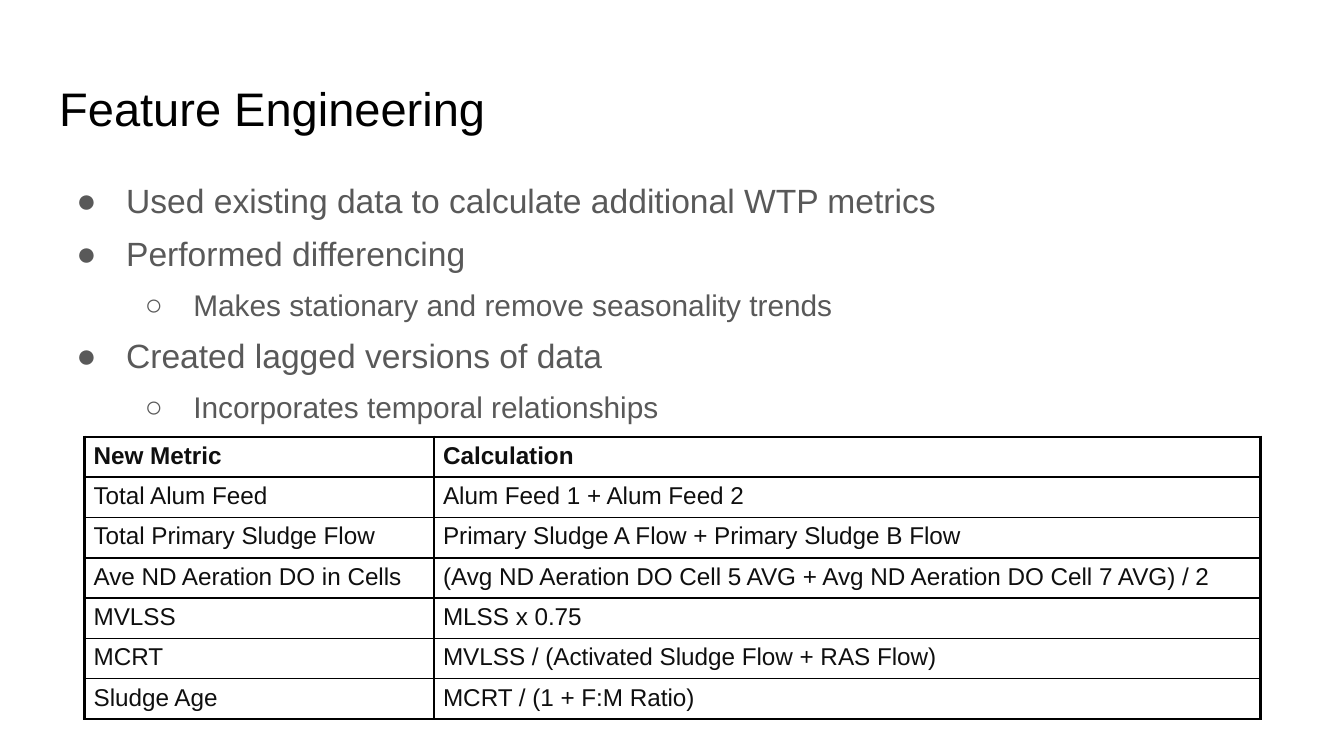
from lxml import etree
from pptx import Presentation
from pptx.dml.color import RGBColor
from pptx.enum.text import MSO_ANCHOR, PP_ALIGN
from pptx.oxml.ns import qn
from pptx.util import Inches, Pt

LEFT, TOP = PP_ALIGN.LEFT, MSO_ANCHOR.TOP
BLACK = RGBColor(0x00, 0x00, 0x00)
GRAY = RGBColor(0x59, 0x59, 0x59)
INK = RGBColor(0x0F, 0x0F, 0x0F)
TITLE_ONLY = 5
THIN, THICK = 1, 1.5

# One entry per outline level: bullet, text size, left margin, hanging indent
LEVELS = [("●", 18, 0.5, -0.37), ("○", 16, 1, -0.36)]

BULLETS = [
    (0, "Used existing data to calculate additional WTP metrics"),
    (0, "Performed differencing"),
    (1, "Makes stationary and remove seasonality trends"),
    (0, "Created lagged versions of data"),
    (1, "Incorporates temporal relationships"),
]

METRICS = [
    ("New Metric", "Calculation"),
    ("Total Alum Feed", "Alum Feed 1 + Alum Feed 2"),
    ("Total Primary Sludge Flow", "Primary Sludge A Flow + Primary Sludge B Flow"),
    ("Ave ND Aeration DO in Cells",
     "(Avg ND Aeration DO Cell 5 AVG + Avg ND Aeration DO Cell 7 AVG) / 2"),
    ("MVLSS", "MLSS x 0.75"),
    ("MCRT", "MVLSS / (Activated Sludge Flow + RAS Flow)"),
    ("Sludge Age", "MCRT / (1 + F:M Ratio)"),
]


def assign(target, values):
    for name, value in values.items():
        setattr(target, name, value)


def add_border(cell, side, width):
    line = etree.SubElement(cell._tc.get_or_add_tcPr(), qn(f"a:ln{side}"), w=str(Pt(width)))
    fill = etree.SubElement(line, qn("a:solidFill"))
    etree.SubElement(fill, qn("a:srgbClr"), val=str(BLACK))


def add_bullet(para, symbol, margin, indent):
    properties = para._p.get_or_add_pPr()
    properties.set("marL", str(Inches(margin)))
    properties.set("indent", str(Inches(indent)))
    color = etree.SubElement(properties, qn("a:buClr"))
    etree.SubElement(color, qn("a:srgbClr"), val=str(GRAY))
    etree.SubElement(properties, qn("a:buFont"), typeface="Arial")
    etree.SubElement(properties, qn("a:buChar"), char=symbol)


class SlideBuilder:
    """Places elements by percentages of the slide's width and height."""

    font = "Arial"

    def __init__(self, deck):
        self.deck = deck
        self.slide = deck.slides.add_slide(deck.slide_layouts[TITLE_ONLY])

    def across(self, percent):
        return round(self.deck.slide_width * percent / 100)

    def down(self, percent):
        return round(self.deck.slide_height * percent / 100)

    def area(self, left, top, width, height):
        return self.across(left), self.down(top), self.across(width), self.down(height)

    def style(self, para, size, color, bold=False):
        para.alignment = LEFT
        assign(para.font, {"name": self.font, "size": Pt(size), "bold": bold})
        para.font.color.rgb = color

    def frame(self, box):
        sides = ("left", "top", "right", "bottom")
        assign(box.text_frame, {f"margin_{side}": Inches(0.1) for side in sides})
        assign(box.text_frame, {"word_wrap": True, "vertical_anchor": TOP})
        return box.text_frame

    def title(self, text, *place):
        box = self.slide.shapes.title
        assign(box, dict(zip(("left", "top", "width", "height"), self.area(*place))))
        frame = self.frame(box)
        frame.text = text
        self.style(frame.paragraphs[0], 25.2, BLACK)

    def outline(self, items, *place):
        frame = self.frame(self.slide.shapes.add_textbox(*self.area(*place)))
        for index, (level, text) in enumerate(items):
            para = frame.add_paragraph() if index else frame.paragraphs[0]
            symbol, size, margin, indent = LEVELS[level]
            para.text = text
            add_bullet(para, symbol, margin, indent)
            assign(para, {"level": level, "line_spacing": 0.95,
                          "space_before": Pt(8 if index else 0)})
            self.style(para, size, GRAY)

    def table(self, rows, left, top, column_widths, row_height):
        place = self.area(left, top, sum(column_widths), row_height * len(rows))
        table = self.slide.shapes.add_table(len(rows), len(column_widths), *place).table
        assign(table, {"first_row": False, "horz_banding": False})
        for column, width in zip(table.columns, column_widths):
            column.width = self.across(width)
        last_row, last_column = len(rows) - 1, len(column_widths) - 1
        for r, texts in enumerate(rows):
            table.rows[r].height = self.down(row_height)
            for c, text in enumerate(texts):
                cell = table.cell(r, c)
                thick_sides = {"L": c == 0, "R": c == last_column,
                               "T": r <= 1, "B": r in (0, last_row)}
                for side, thick in thick_sides.items():
                    add_border(cell, side, THICK if thick else THIN)
                cell.fill.background()
                assign(cell, {"margin_left": Inches(0.07), "margin_right": Inches(0.07),
                              "margin_top": Pt(3), "margin_bottom": Pt(3)})
                cell.text = text
                self.style(cell.text_frame.paragraphs[0], 13, INK, bold=r == 0)


def main():
    deck = Presentation()
    width = Inches(10)
    assign(deck, {"slide_width": width, "slide_height": width * 9 // 16})
    page = SlideBuilder(deck)
    page.title("Feature Engineering", 3.4, 8.71, 93.2, 11.2)
    page.outline(BULLETS, 3.4, 22.4, 93.2, 66.49)
    page.table(METRICS, left=6.27, top=57.78, column_widths=(26, 61.5), row_height=4.98)
    deck.save("out.pptx")


if __name__ == "__main__":
    main()
